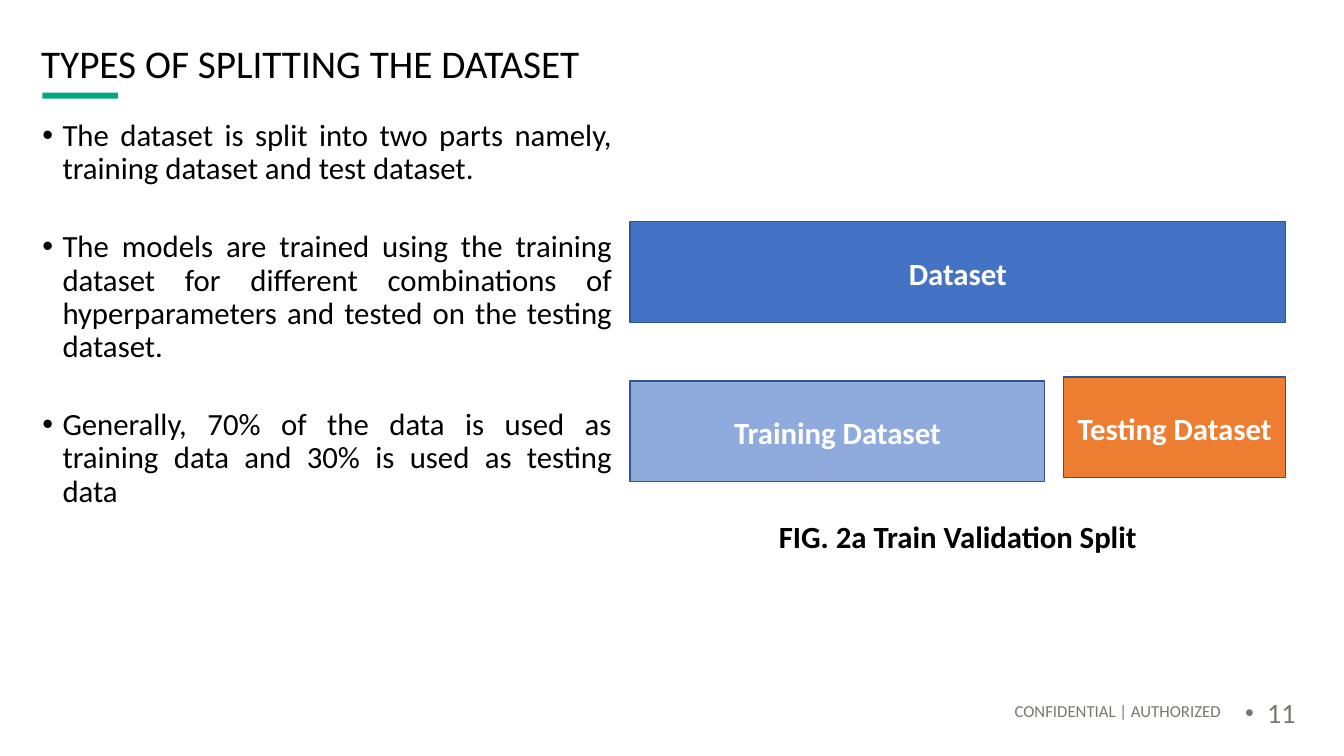
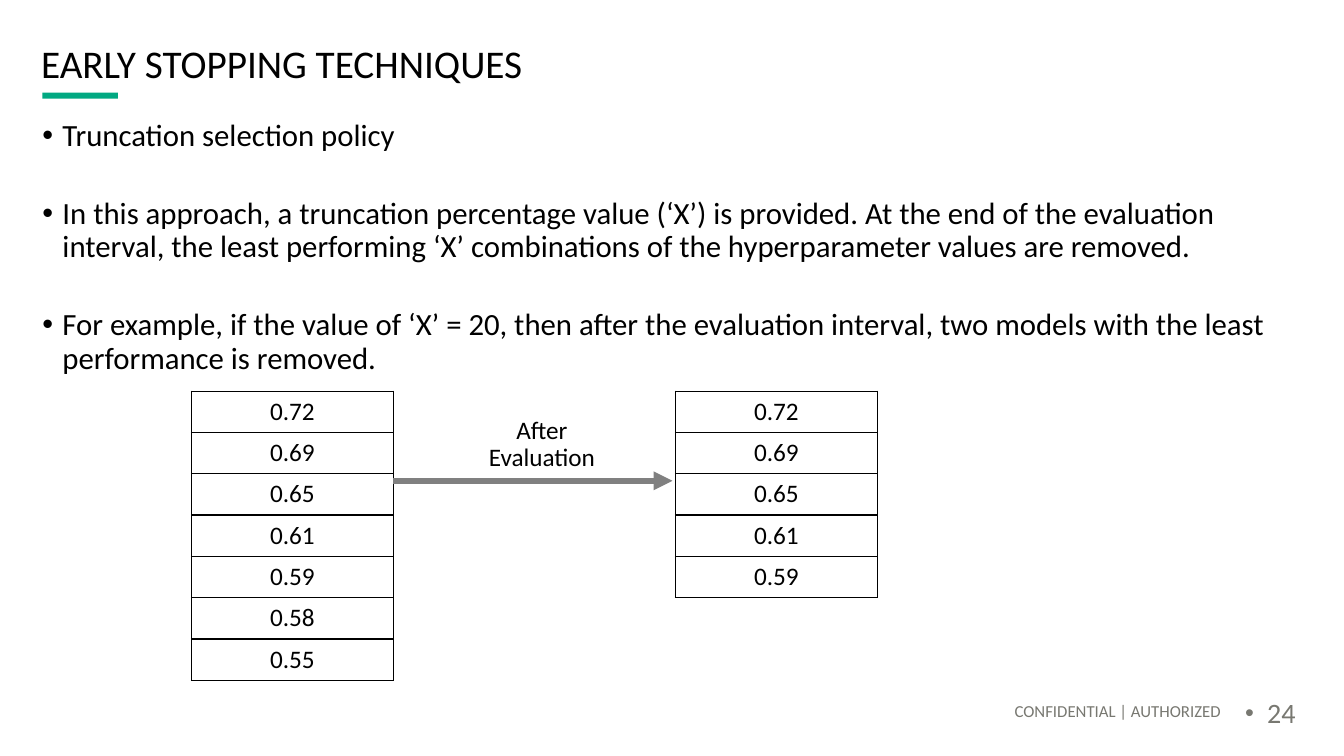
from lxml import etree
from pptx import Presentation
from pptx.dml.color import RGBColor
from pptx.enum.shapes import MSO_CONNECTOR, MSO_SHAPE
from pptx.enum.text import MSO_ANCHOR, PP_ALIGN
from pptx.oxml.ns import qn
from pptx.util import Inches, Pt

LEFT, CENTER, RIGHT, JUSTIFY = (
    PP_ALIGN.LEFT, PP_ALIGN.CENTER, PP_ALIGN.RIGHT, PP_ALIGN.JUSTIFY)
TOP, MIDDLE, BOTTOM = MSO_ANCHOR.TOP, MSO_ANCHOR.MIDDLE, MSO_ANCHOR.BOTTOM
RECTANGLE = MSO_SHAPE.RECTANGLE
STRAIGHT = MSO_CONNECTOR.STRAIGHT

FONT = "Calibri"
BLACK, WHITE, GREEN, GRAY = "000000", "FFFFFF", "01A982", "787871"
BLUE, LIGHT_BLUE, ORANGE, OUTLINE = "4472C4", "8FAADC", "ED7D31", "325491"
ARROW_GRAY = "808080"
ROW_HEIGHT = 0.41
COLUMN_WIDTH = 2


def rgb(color):
    return RGBColor.from_string(color)


def format_paragraph(p, size, color=BLACK, bold=False, align=LEFT, spacing=0.9):
    p.alignment = align
    p.line_spacing = spacing
    for r in p.runs:
        r.font.name = FONT
        r.font.size = Pt(size)
        r.font.bold = bold
        r.font.color.rgb = rgb(color)


def add_bullet(p, indent, percent=100):
    pPr = p._p.get_or_add_pPr()
    pPr.set("marL", str(Inches(indent)))
    pPr.set("indent", str(-Inches(indent)))
    etree.SubElement(pPr, qn("a:buSzPct"), val=str(percent * 1000))
    etree.SubElement(pPr, qn("a:buFont"), typeface="Arial")
    etree.SubElement(pPr, qn("a:buChar"), char="•")


def add_text(slide, box, text, size, anchor=MIDDLE, insets=(0.1, 0.1, 0.1, 0.1),
             **style):
    tf = slide.shapes.add_textbox(*map(Inches, box)).text_frame
    tf.word_wrap = True
    tf.vertical_anchor = anchor
    tf.margin_left, tf.margin_top, tf.margin_right, tf.margin_bottom = map(
        Inches, insets)
    tf.text = text
    for p in tf.paragraphs:
        format_paragraph(p, size, **style)
    return tf


def add_rectangle(slide, box, fill, line=None):
    sp = slide.shapes.add_shape(RECTANGLE, *map(Inches, box))
    sp.shadow.inherit = False
    sp.fill.solid()
    sp.fill.fore_color.rgb = rgb(fill)
    if line:
        sp.line.color.rgb = rgb(line)
        sp.line.width = Pt(1)
    else:
        sp.line.fill.background()
    return sp


def add_labeled_box(slide, box, text, fill):
    tf = add_rectangle(slide, box, fill, OUTLINE).text_frame
    tf.word_wrap = True
    tf.vertical_anchor = MIDDLE
    tf.text = text
    p = tf.paragraphs[0]
    format_paragraph(p, 22, WHITE, True, CENTER, 1.07)
    p.space_after = Pt(8)


def add_body(slide, width, items, align=LEFT):
    tf = add_text(slide, (0.42, 1.09, width, 5.57), "\n".join(items), 22, TOP,
                  (0, 0.1, 0, 0.1), align=align)
    for i, p in enumerate(tf.paragraphs):
        add_bullet(p, 0.2)
        if i:
            p.space_before = Pt(32)


def add_cell_borders(cell):
    tcPr = cell._tc.get_or_add_tcPr()
    for side in ("a:lnL", "a:lnR", "a:lnT", "a:lnB"):
        ln = etree.SubElement(tcPr, qn(side), w=str(Pt(1)))
        fill = etree.SubElement(ln, qn("a:solidFill"))
        etree.SubElement(fill, qn("a:srgbClr"), val=BLACK)


def add_score_table(slide, left, top, scores):
    table = slide.shapes.add_table(
        len(scores), 1, Inches(left), Inches(top), Inches(COLUMN_WIDTH),
        Inches(ROW_HEIGHT * len(scores))).table
    table.first_row = False
    table.horz_banding = False
    for row, score in enumerate(scores):
        table.rows[row].height = Inches(ROW_HEIGHT)
        cell = table.cell(row, 0)
        add_cell_borders(cell)
        cell.fill.background()
        cell.text_frame.text = score
        format_paragraph(cell.text_frame.paragraphs[0], 18, align=CENTER,
                         spacing=1.0)


def add_arrow(slide, x1, y1, x2, y2):
    line = slide.shapes.add_connector(STRAIGHT, *map(Inches, (x1, y1, x2, y2)))
    line.line.color.rgb = rgb(ARROW_GRAY)
    line.line.width = Pt(4.5)
    etree.SubElement(line.line._get_or_add_ln(), qn("a:tailEnd"), type="triangle")
    etree.SubElement(line._element.spPr, qn("a:effectLst"))


def add_base_slide(prs, title, number):
    slide = prs.slides.add_slide(prs.slide_layouts[6])
    add_rectangle(slide, (0.42, 0.92, 0.75, 0.06), GREEN)
    add_text(slide, (4.07, 6.7, 8.18, 0.45), "CONFIDENTIAL | AUTHORIZED", 12,
             BOTTOM, (0.1, 0, 0.14, 0), color=GRAY, align=RIGHT)
    tf = add_text(slide, (12.25, 6.89, 0.75, 0.4), number, 20,
                  insets=(0.1, 0.05, 0.1, 0.05), color=GRAY)
    add_bullet(tf.paragraphs[0], 0.22, 90)
    add_text(slide, (0.31, 0.43, 12.57, 0.44), title, 28)
    return slide


def add_splitting_slide(prs):
    slide = add_base_slide(prs, "TYPES OF SPLITTING THE DATASET", "11")
    add_body(slide, 5.65, [
        "The dataset is split into two parts namely, training dataset and test "
        "dataset.",
        "The models are trained using the training dataset for different "
        "combinations of hyperparameters and tested on the testing dataset.",
        "Generally, 70% of the data is used as training data and 30% is used as "
        "testing data",
    ], JUSTIFY)
    for box, text, fill in (
        ((6.25, 2.2, 6.5, 1), "Dataset", BLUE),
        ((6.25, 3.78, 4.11, 1), "Training Dataset", LIGHT_BLUE),
        ((10.55, 3.74, 2.2, 1), "Testing Dataset", ORANGE),
    ):
        add_labeled_box(slide, box, text, fill)
    add_text(slide, (6.25, 5.09, 6.5, 0.47), "FIG. 2a Train Validation Split", 22,
             TOP, (0.1, 0.05, 0.1, 0.05), bold=True, align=CENTER, spacing=1.0)


def add_stopping_slide(prs):
    slide = add_base_slide(prs, "EARLY STOPPING TECHNIQUES", "24")
    add_body(slide, 12.47, [
        "Truncation selection policy",
        "In this approach, a truncation percentage value (‘X’) is provided. At the "
        "end of the evaluation interval, the least performing ‘X’ combinations of "
        "the hyperparameter values are removed.",
        "For example, if the value of ‘X’ = 20, then after the evaluation interval, "
        "two models with the least performance is removed.",
    ])
    scores = ["0.72", "0.69", "0.65", "0.61", "0.59", "0.58", "0.55"]
    add_score_table(slide, 1.9, 3.88, scores)
    add_score_table(slide, 6.7, 3.88, scores[:-2])
    add_arrow(slide, 3.9, 4.77, 6.67, 4.77)
    add_text(slide, (4.49, 4.19, 1.77, 0.44), "After Evaluation", 18, align=CENTER)


def main():
    prs = Presentation()
    prs.slide_width = Inches(13.33)
    prs.slide_height = Inches(7.5)
    add_splitting_slide(prs)
    add_stopping_slide(prs)
    prs.save("out.pptx")


if __name__ == "__main__":
    main()
